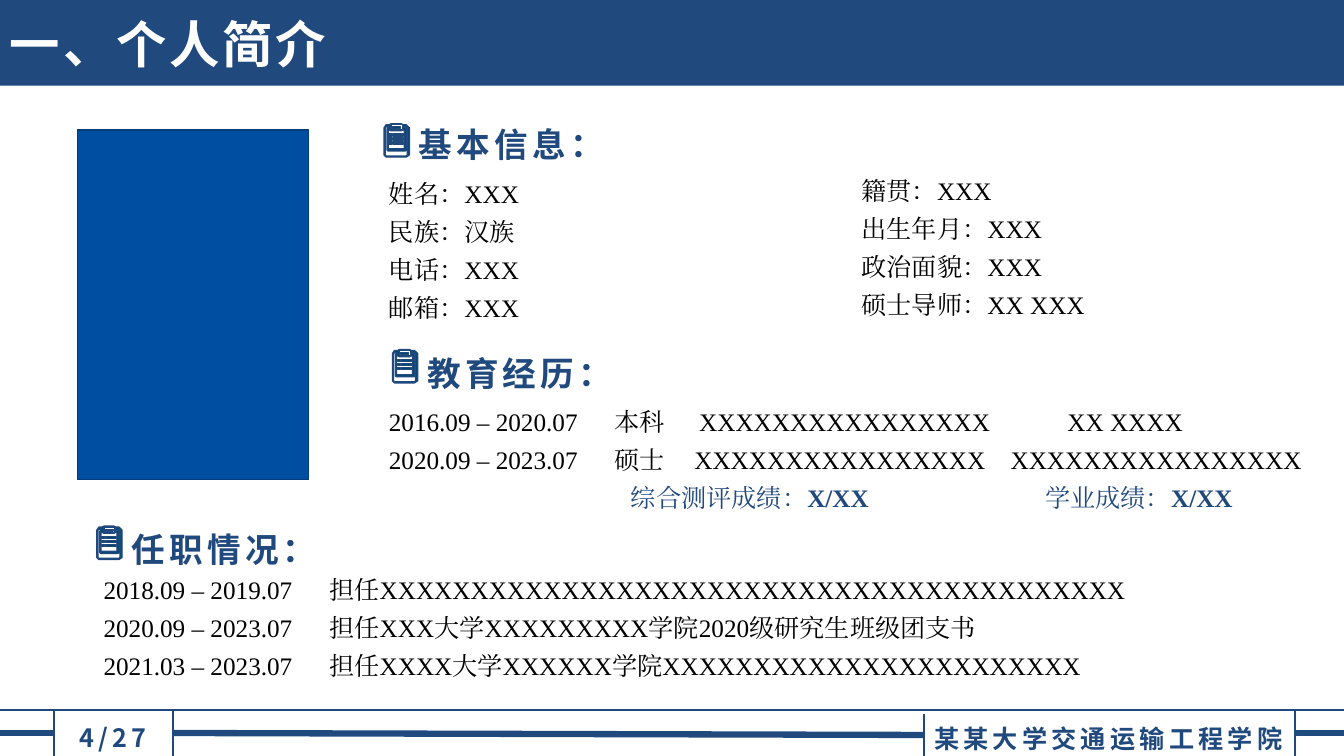
"""Build the personal profile slide of a scholarship presentation."""
from dataclasses import dataclass

from lxml import etree
from pptx import Presentation
from pptx.dml.color import RGBColor
from pptx.enum.shapes import MSO_CONNECTOR, MSO_SHAPE
from pptx.enum.text import PP_ALIGN
from pptx.oxml.ns import qn
from pptx.shapes.autoshape import Shape
from pptx.slide import Slide
from pptx.util import Cm, Pt

STRAIGHT = MSO_CONNECTOR.STRAIGHT
RECTANGLE = MSO_SHAPE.RECTANGLE
LEFT, CENTER = PP_ALIGN.LEFT, PP_ALIGN.CENTER
SANS, SERIF = "Noto Sans CJK SC", "Times New Roman"
NAVY, BLACK, WHITE = "20497D", "000000", "FFFFFF"


@dataclass(frozen=True)
class Box:
    left: float
    top: float
    width: float
    height: float


@dataclass(frozen=True)
class Style:
    size: int
    font: str = SANS
    color: str = NAVY
    bold: bool = True
    spacing: int = 3
    line_spacing: float = 1.3
    align: PP_ALIGN = LEFT


@dataclass(frozen=True)
class Piece:
    text: str
    color: str = ""
    bold: bool = False


@dataclass(frozen=True)
class Line:
    pieces: tuple[Piece, ...]
    tabs: tuple[float, ...] = ()


@dataclass(frozen=True)
class Heading:
    text: str
    left: float
    top: float
    icon_top: float


@dataclass(frozen=True)
class Rule:
    start: tuple[float, float]
    end: tuple[float, float]
    weight: float


Points = list[tuple[float, float]]


def bar(left: float, top: float, right: float, bottom: float) -> Points:
    """Return the corners of a rectangle."""
    return [(left, top), (right, top), (right, bottom), (left, bottom)]


def plain(text: str, *tabs: float) -> Line:
    """Return a line made of one piece of text."""
    return Line((Piece(text),), tabs)


TITLE = Style(36, color=WHITE, spacing=2, line_spacing=1.0)
SECTION = Style(24)
FOOTER = Style(18)
PAGE = Style(18, align=CENTER)
BODY = Style(18, SERIF, BLACK, False, 0, 1.25)

CLIPBOARD: list[Points] = [
    [(7, 0), (17, 0), (19, 1), (22, 1), (25, 4), (25, 31), (22, 33), (2, 33),
     (0, 31), (0, 4), (2, 1), (5, 1)],
    [(2, 3), (1, 4), (1, 31), (2, 32), (22, 32), (23, 31), (23, 4), (22, 3),
     (19, 3), (19, 4), (21, 4), (22, 5), (22, 26), (21, 27), (4, 27), (3, 26),
     (3, 5), (4, 4), (5, 4), (5, 3)],
    [(4, 6), (4, 25), (20, 25), (20, 6), (19, 6), (17, 7), (7, 7), (5, 6)],
    bar(7, 1, 18, 6),
    bar(8, 3, 16, 5),
    *[bar(left, top, right, top + 2)
      for top in (10, 14, 18) for left, right in ((5, 8), (9, 19))],
]

HEADINGS = [
    Heading("基本信息：", 10.31, 2.69, 3.12),
    Heading("教育经历：", 10.52, 8.46, 8.81),
    Heading("任职情况：", 3.07, 12.9, 13.26),
]

TEXTS: list[tuple[Box, Style, list[Line]]] = [
    (Box(0, 0.2, 11.66, 1.8), TITLE, [plain("一、个人简介")]),
    (Box(23.29, 17.88, 9.65, 1.24), FOOTER, [plain("某某大学交通运输工程学院")]),
    (Box(1.37, 17.86, 2.97, 1.17), PAGE, [plain("4/27")]),
    (Box(9.55, 4.19, 9.6, 4.09), BODY,
     [plain("姓名：XXX"), plain("民族：汉族"), plain("电话：XXX"), plain("邮箱：XXX")]),
    (Box(21.46, 4.11, 9.93, 4.09), BODY,
     [plain("籍贯：XXX"), plain("出生年月：XXX"), plain("政治面貌：XXX"),
      plain("硕士导师：XX XXX")]),
    (Box(9.55, 9.93, 24.3, 3.15), BODY,
     [plain("2016.09 – 2020.07\t本科\tXXXXXXXXXXXXXXXX\tXX XXXX", 5.69, 7.82, 17.1),
      plain("2020.09 – 2023.07\t硕士\tXXXXXXXXXXXXXXXX\tXXXXXXXXXXXXXXXX",
            5.69, 7.7, 15.67),
      Line((Piece("\t综合测评成绩：", NAVY), Piece("X/XX", NAVY, True),
            Piece("\t学业成绩：", NAVY), Piece("X/XX", NAVY, True)), (6.1, 16.54))]),
    (Box(2.36, 14.17, 31.4, 3.15), BODY,
     [plain("2018.09 – 2019.07\t担任" + "X" * 41, 5.69),
      plain("2020.09 – 2023.07\t担任XXX大学XXXXXXXXX学院2020级研究生班级团支书", 5.69),
      plain("2021.03 – 2023.07\t担任XXXX大学XXXXXX学院" + "X" * 23, 5.69)]),
]

RULES = [
    Rule((23.29, 18.52), (4.34, 18.47), 4.5),
    Rule((33.87, 18.47), (32.64, 18.47), 4.5),
    Rule((1.37, 18.47), (0, 18.47), 4.5),
    Rule((33.87, 17.88), (0, 17.88), 1.5),
    Rule((23.29, 19.05), (23.29, 17.98), 1.5),
    *[Rule((x, 19.05), (x, 17.88), 1.5) for x in (1.37, 4.37, 32.64)],
]


def rgb(color: str) -> RGBColor:
    """Turn a hex string into a colour."""
    return RGBColor.from_string(color)


def paint(shape: Shape, fill: str, line: str = "") -> None:
    """Give a shape a flat fill and an optional thin outline."""
    shape.shadow.inherit = False
    shape.fill.solid()
    shape.fill.fore_color.rgb = rgb(fill)
    if line:
        shape.line.color.rgb = rgb(line)
        shape.line.width = Pt(1)
    else:
        shape.line.fill.background()


def add_rectangle(slide: Slide, box: Box, fill: str, line: str = "") -> None:
    """Draw a filled rectangle."""
    shape = slide.shapes.add_shape(
        RECTANGLE, Cm(box.left), Cm(box.top), Cm(box.width), Cm(box.height))
    paint(shape, fill, line)


def add_rule(slide: Slide, rule: Rule) -> None:
    """Draw a straight footer line."""
    connector = slide.shapes.add_connector(
        STRAIGHT, *[Cm(value) for value in (*rule.start, *rule.end)])
    connector.line.color.rgb = rgb(NAVY)
    connector.line.width = Pt(rule.weight)
    properties = connector.element.find(qn("p:spPr"))
    etree.SubElement(properties, qn("a:effectLst"))


def add_text(slide: Slide, box: Box, style: Style, lines: list[Line]) -> None:
    """Write lines of text in one box."""
    shape = slide.shapes.add_textbox(
        Cm(box.left), Cm(box.top), Cm(box.width), Cm(box.height))
    frame = shape.text_frame
    frame.word_wrap = True
    for index, line in enumerate(lines):
        paragraph = frame.add_paragraph() if index else frame.paragraphs[0]
        paragraph.alignment = style.align
        paragraph.line_spacing = style.line_spacing
        if line.tabs:
            properties = paragraph._p.get_or_add_pPr()
            tab_list = etree.SubElement(properties, qn("a:tabLst"))
            for position in line.tabs:
                etree.SubElement(tab_list, qn("a:tab"), pos=str(Cm(position)), algn="l")
        for piece in line.pieces:
            run = paragraph.add_run()
            run.text = piece.text
            run.font.size = Pt(style.size)
            run.font.bold = style.bold or piece.bold
            run.font.color.rgb = rgb(piece.color or style.color)
            run.font.name = style.font
            properties = run._r.get_or_add_rPr()
            properties.set("spc", str(style.spacing * 100))
            etree.SubElement(properties, qn("a:ea"), typeface=style.font)


def add_heading(slide: Slide, heading: Heading) -> None:
    """Draw a section heading with its clipboard icon."""
    add_text(slide, Box(heading.left, heading.top, 5.4, 1.45), SECTION,
             [plain(heading.text)])
    outline, *holes = CLIPBOARD
    builder = slide.shapes.build_freeform(*outline[0], scale=Cm(2.54) / 100)
    builder.add_line_segments(outline[1:], close=True)
    for hole in holes:
        builder.move_to(*hole[0])
        builder.add_line_segments(hole[1:], close=True)
    icon = builder.convert_to_shape(Cm(heading.left - 0.63), Cm(heading.icon_top))
    paint(icon, "014674", NAVY)


def main() -> None:
    """Build and save the slide."""
    presentation = Presentation()
    presentation.slide_width, presentation.slide_height = Cm(33.87), Cm(19.05)
    slide = presentation.slides.add_slide(presentation.slide_layouts[6])
    add_rectangle(slide, Box(0, 0, 33.87, 2.16), NAVY)
    for rule in RULES:
        add_rule(slide, rule)
    for box, style, lines in TEXTS:
        add_text(slide, box, style, lines)
    for heading in HEADINGS:
        add_heading(slide, heading)
    add_rectangle(slide, Box(1.96, 3.28, 5.82, 8.81), "004EA2", "003B7A")
    presentation.save("out.pptx")


if __name__ == "__main__":
    main()
